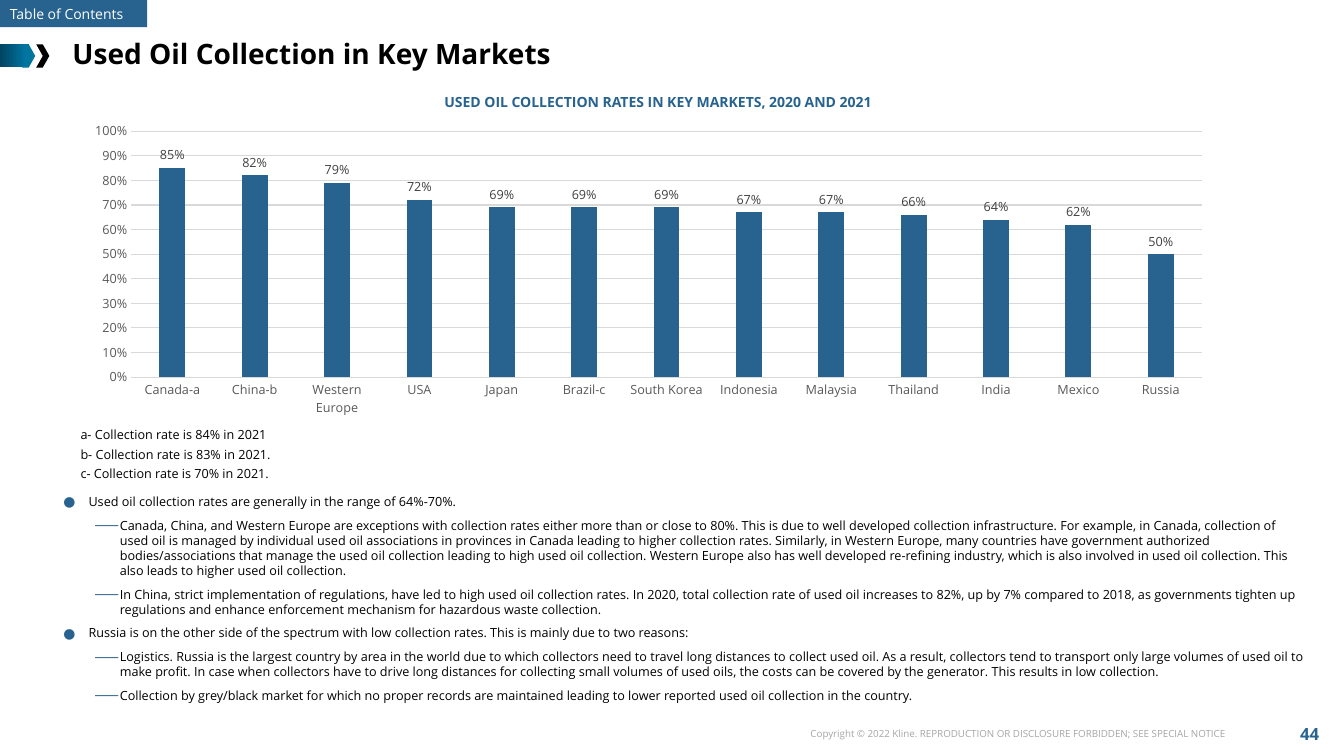
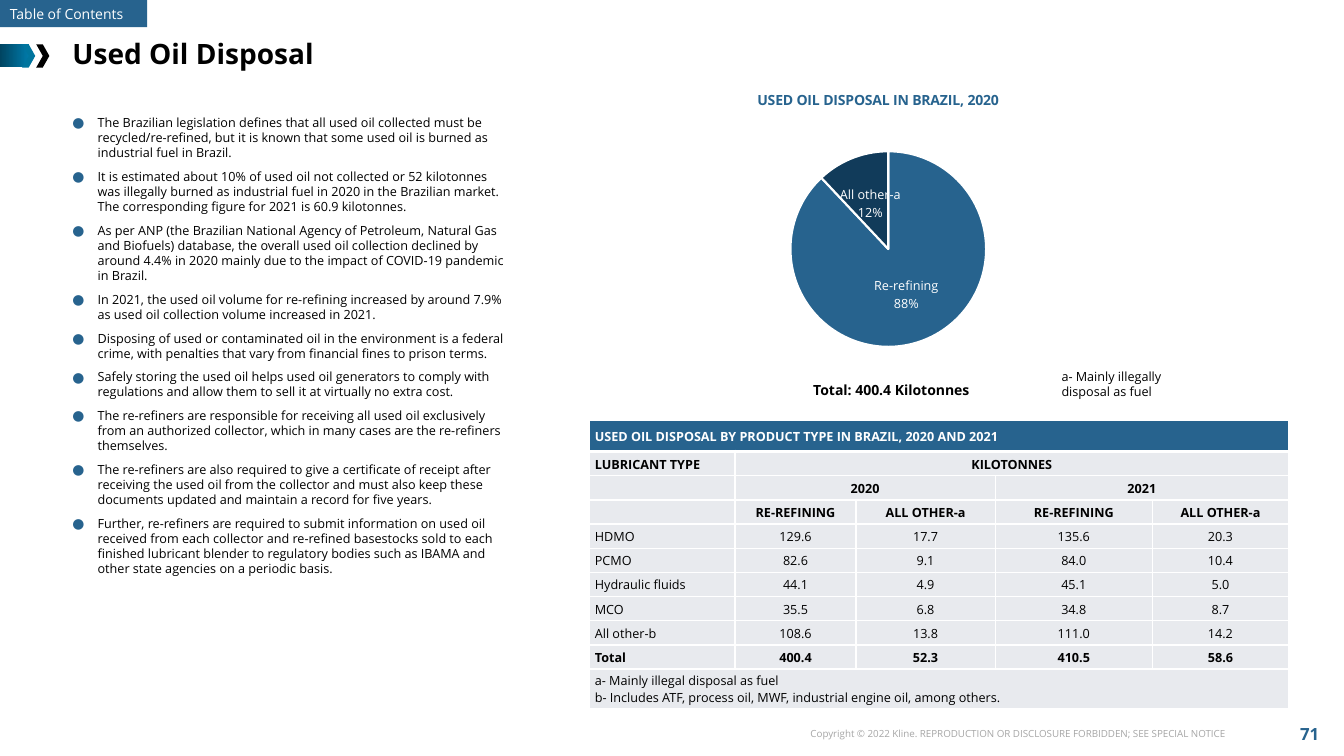
"""Build two slides on used oil collection and disposal."""
from lxml import etree
from pptx import Presentation
from pptx.chart.data import CategoryChartData
from pptx.dml.color import RGBColor
from pptx.enum.chart import XL_CHART_TYPE, XL_LABEL_POSITION, XL_TICK_MARK
from pptx.enum.shapes import MSO_SHAPE
from pptx.enum.text import MSO_ANCHOR, PP_ALIGN
from pptx.oxml.ns import qn
from pptx.util import Inches, Pt

BAR, PIE = XL_CHART_TYPE.COLUMN_CLUSTERED, XL_CHART_TYPE.PIE
OUT, MID = XL_LABEL_POSITION.OUTSIDE_END, XL_LABEL_POSITION.CENTER
BARE = XL_TICK_MARK.NONE
RECT, ARROW = MSO_SHAPE.RECTANGLE, MSO_SHAPE.CHEVRON
TOP, HALF = MSO_ANCHOR.TOP, MSO_ANCHOR.MIDDLE
LEFT, CENTER, RIGHT = PP_ALIGN.LEFT, PP_ALIGN.CENTER, PP_ALIGN.RIGHT


class Theme:
    """Colours, font and type sizes."""
    font = "Open Sans"
    blue, navy, black, white = "27638E", "113B5A", "000000", "FFFFFF"
    pale, rule, gray, dark, foot = "E8EAEE", "D9D9D9", "595959", "404040", "A6A6A6"
    deep, sea, teal = "004461", "007BAA", "00759E"
    title, page, head, body, small = 20, 12, 10, 9, 7


COPY = "Copyright © 2022 Kline. REPRODUCTION OR DISCLOSURE FORBIDDEN; SEE SPECIAL NOTICE"
RATES = {
    "Canada-a": 0.85, "China-b": 0.82, "Western Europe": 0.79, "USA": 0.72,
    "Japan": 0.69, "Brazil-c": 0.69, "South Korea": 0.69, "Indonesia": 0.67,
    "Malaysia": 0.67, "Thailand": 0.66, "India": 0.64, "Mexico": 0.62, "Russia": 0.5,
}
NOTES = [
    "a- Collection rate is 84% in 2021",
    "b- Collection rate is 83% in 2021.",
    "c- Collection rate is 70% in 2021.",
]
TRENDS = [
    (0, "Used oil collection rates are generally in the range of 64%-70%."),
    (1, "Canada, China, and Western Europe are exceptions with collection rates either more than or close to 80%. "
        "This is due to well developed collection infrastructure. For example, in Canada, collection of used oil is "
        "managed by individual used oil associations in provinces in Canada leading to higher collection rates. "
        "Similarly, in Western Europe, many countries have government authorized bodies/associations that manage the "
        "used oil collection leading to high used oil collection. Western Europe also has well developed re-refining "
        "industry, which is also involved in used oil collection. This also leads to higher used oil collection."),
    (1, "In China, strict implementation of regulations, have led to high used oil collection rates. In 2020, total "
        "collection rate of used oil increases to 82%, up by 7% compared to 2018, as governments tighten up "
        "regulations and enhance enforcement mechanism for hazardous waste collection."),
    (0, "Russia is on the other side of the spectrum with low collection rates. This is mainly due to two reasons:"),
    (1, "Logistics. Russia is the largest country by area in the world due to which collectors need to travel long "
        "distances to collect used oil. As a result, collectors tend to transport only large volumes of used oil to "
        "make profit. In case when collectors have to drive long distances for collecting small volumes of used oils, "
        "the costs can be covered by the generator. This results in low collection."),
    (1, "Collection by grey/black market for which no proper records are maintained leading to lower reported used "
        "oil collection in the country."),
]
FACTS = [
    "The Brazilian legislation defines that all used oil collected must be recycled/re-refined, but it is known that "
    "some used oil is burned as industrial fuel in Brazil.",
    "It is estimated about 10% of used oil not collected or 52 kilotonnes was illegally burned as industrial fuel in "
    "2020 in the Brazilian market. The corresponding figure for 2021 is 60.9 kilotonnes.",
    "As per ANP (the Brazilian National Agency of Petroleum, Natural Gas and Biofuels) database, the overall used oil "
    "collection declined by around 4.4% in 2020 mainly due to the impact of COVID-19 pandemic in Brazil.",
    "In 2021, the used oil volume for re-refining increased by around 7.9% as used oil collection volume increased "
    "in 2021.",
    "Disposing of used or contaminated oil in the environment is a federal crime, with penalties that vary from "
    "financial fines to prison terms.",
    "Safely storing the used oil helps used oil generators to comply with regulations and allow them to sell it at "
    "virtually no extra cost.",
    "The re-refiners are responsible for receiving all used oil exclusively from an authorized collector, which in "
    "many cases are the re-refiners themselves.",
    "The re-refiners are also required to give a certificate of receipt after receiving the used oil from the "
    "collector and must also keep these documents updated and maintain a record for five years.",
    "Further, re-refiners are required to submit information on used oil received from each collector and re-refined "
    "basestocks sold to each finished lubricant blender to regulatory bodies such as IBAMA and other state agencies "
    "on a periodic basis.",
]
SHARES = {"Re-refining": 88, "All other-a": 12}
COLS = [1.44, 1.2, 1.38, 1.56, 1.35]
ROWS = [0.31] + [0.24] * 9 + [0.39]
CELLS = [
    ["USED OIL DISPOSAL BY PRODUCT TYPE IN BRAZIL, 2020 AND 2021", None, None, None, None],
    ["LUBRICANT TYPE", "KILOTONNES", None, None, None],
    ["", "2020", None, "2021", None],
    ["", "RE-REFINING", "ALL OTHER-a", "RE-REFINING", "ALL OTHER-a"],
    ["HDMO", "129.6", "17.7", "135.6", "20.3"],
    ["PCMO", "82.6", "9.1", "84.0", "10.4"],
    ["Hydraulic fluids", "44.1", "4.9", "45.1", "5.0"],
    ["MCO", "35.5", "6.8", "34.8", "8.7"],
    ["All other-b", "108.6", "13.8", "111.0", "14.2"],
    ["Total", "400.4", "52.3", "410.5", "58.6"],
    ["a- Mainly illegal disposal as fuel\nb- Includes ATF, process oil, MWF, industrial engine oil, among others.",
     None, None, None, None],
]
MARKS = {0: ("●", 0.25, "110000"), 1: ("⸺", 0.56, "100000")}


def rgb(tone):
    return RGBColor.from_string(tone)


def put(item, **vals):
    for key, val in vals.items():
        setattr(item, key, val)


def node(root, tag, **vals):
    return etree.SubElement(root, qn(tag), vals)


def ink(font, size=Theme.body, tone=Theme.black, bold=False):
    put(font, name=Theme.font, size=Pt(size), bold=bold)
    font.color.rgb = rgb(tone)


def paint(item, tone):
    item.fill.solid()
    item.fill.fore_color.rgb = rgb(tone)


def mark(para, level):
    char, edge, size = MARKS[level]
    para.level = level
    props = para._p.get_or_add_pPr()
    props.set("marL", str(Inches(edge)))
    props.set("indent", str(Inches(-0.25)))
    node(node(props, "a:buClr"), "a:srgbClr", val=Theme.blue)
    node(props, "a:buSzPct", val=size)
    node(props, "a:buFont", typeface=Theme.font)
    node(props, "a:buChar", char=char)


def write(frame, lines, align=LEFT, anchor=TOP, gap=0, **look):
    put(frame, word_wrap=True, vertical_anchor=anchor)
    for num, line in enumerate(lines):
        level, text = line if isinstance(line, tuple) else (None, line)
        para = frame.add_paragraph() if num else frame.paragraphs[0]
        if level is not None:
            mark(para, level)
        put(para, alignment=align, space_after=Pt(gap))
        if text:
            run = para.add_run()
            run.text = text
            ink(run.font, **look)
        else:
            node(para._p, "a:endParaRPr", sz=str(Theme.body * 100))


def label(slide, spot, *lines, **look):
    write(slide.shapes.add_textbox(*map(Inches, spot)).text_frame, lines, **look)


def block(slide, kind, spot, tone):
    shape = slide.shapes.add_shape(kind, *map(Inches, spot))
    shape.shadow.inherit = False
    shape.line.fill.background()
    paint(shape, tone)
    return shape


def start(deck, title, page):
    slide = deck.slides.add_slide(deck.slide_layouts[6])
    label(slide, (12.68, 7.07, 0.62, 0.43), page, align=CENTER, anchor=HALF,
          size=Theme.page, tone=Theme.blue, bold=True)
    label(slide, (7.71, 7.17, 4.54, 0.22), COPY, align=RIGHT, size=Theme.small, tone=Theme.foot)
    fill = block(slide, RECT, (0, 0.44, 0.29, 0.23), Theme.deep).fill
    fill.gradient()
    fill.gradient_angle = 0
    for stop, tone, place in zip(fill.gradient_stops, (Theme.deep, Theme.sea), (0, 1)):
        stop.color.rgb = rgb(tone)
        stop.position = place
    for left, tone in ((0.22, Theme.teal), (0.36, Theme.black)):
        block(slide, ARROW, (left, 0.44, 0.13, 0.23), tone)
    tab = block(slide, RECT, (0, 0, 1.46, 0.27), Theme.blue)
    write(tab.text_frame, ["Table of Contents"], anchor=HALF, size=Theme.head, tone=Theme.white)
    label(slide, (0.62, 0.31, 12, 0.44), title, anchor=HALF, size=Theme.title, bold=True)
    return slide


def place(root, index, **spots):
    for old in root.findall(qn("c:layout")):
        root.remove(old)
    lay = etree.Element(qn("c:layout"))
    man = node(lay, "c:manualLayout")
    if "w" in spots:
        node(man, "c:layoutTarget", val="inner")
    for key in ("x", "y"):
        node(man, f"c:{key}Mode", val="edge")
    for key, val in spots.items():
        node(man, f"c:{key}", val=str(val))
    root.insert(index, lay)


def graph(slide, kind, spot, data, area):
    feed = CategoryChartData()
    feed.categories = list(data)
    feed.add_series("Series 1", list(data.values()))
    chart = slide.shapes.add_chart(kind, *map(Inches, spot), feed).chart
    put(chart, has_legend=False, has_title=False)
    ink(chart.font, Theme.head)
    place(chart._chartSpace.chart.plotArea, 0, **area)
    plot = chart.plots[0]
    plot.has_data_labels = True
    put(plot.data_labels, number_format="0%", number_format_is_linked=False)
    return chart, plot


def bars(slide):
    chart, plot = graph(slide, BAR, (0.73, 1.15, 11.42, 3.05), RATES, dict(x=0.05, y=0.05, w=0.93, h=0.8))
    put(plot, gap_width=219, overlap=-27, vary_by_categories=False)
    paint(plot.series[0].format, Theme.blue)
    put(plot.data_labels, show_value=True, position=OUT)
    ink(plot.data_labels.font, tone=Theme.dark)
    cat, val = chart.category_axis, chart.value_axis
    for axis in (cat, val):
        put(axis, major_tick_mark=BARE, minor_tick_mark=BARE)
        ink(axis.tick_labels.font, tone=Theme.gray)
    put(val, minimum_scale=0, maximum_scale=1, major_unit=0.1, has_major_gridlines=True)
    put(val.tick_labels, number_format="0%", number_format_is_linked=False)
    val.format.line.fill.background()
    for part in (cat, val.major_gridlines):
        part.format.line.width = Pt(0.75)
        part.format.line.color.rgb = rgb(Theme.rule)


def pie(slide):
    chart, plot = graph(slide, PIE, (5.9, 0.59, 5.88, 3.36), SHARES, dict(x=0.33, y=0.27, w=0.33, h=0.58))
    chart.has_title = True
    write(chart.chart_title.text_frame, ["USED OIL DISPOSAL IN BRAZIL, 2020"], align=CENTER,
          size=Theme.head, tone=Theme.blue, bold=True)
    place(chart.chart_title._element, 1, x=0.27, y=0.08)
    for num, tone in enumerate((Theme.blue, Theme.navy)):
        form = plot.series[0].points[num].format
        paint(form, tone)
        form.line.width = Pt(1.5)
        form.line.color.rgb = rgb(Theme.white)
    tags = plot.data_labels
    put(tags, show_value=False, show_category_name=True, show_percentage=True, position=MID)
    ink(tags.font, tone=Theme.white)
    split = etree.Element(qn("c:separator"))
    split.text = "\n"
    tags._element.find(qn("c:showBubbleSize")).addnext(split)


def edge(cell, row):
    props = cell._tc.get_or_add_tcPr()
    thick = {"T": row == 1, "B": row == 0}
    for side in "LRTB":
        line = node(props, f"a:ln{side}", w=str(Pt(3 if thick.get(side) else 1)))
        node(node(line, "a:solidFill"), "a:srgbClr", val=Theme.white)


def grid(slide):
    spot = map(Inches, (5.85, 4.17, sum(COLS), sum(ROWS)))
    table = slide.shapes.add_table(len(ROWS), len(COLS), *spot).table
    put(table, first_row=False, horz_banding=False)
    for col, width in zip(table.columns, COLS):
        col.width = Inches(width)
    for num, (row, high) in enumerate(zip(CELLS, ROWS)):
        table.rows[num].height = Inches(high)
        for pos, text in enumerate(row):
            cell = table.cell(num, pos)
            thin = Inches(0.01)
            put(cell, margin_left=thin if pos else Inches(0.05), margin_right=thin,
                margin_top=thin, margin_bottom=0, vertical_anchor=HALF)
            edge(cell, num)
            paint(cell, Theme.pale if num else Theme.blue)
            write(cell.text_frame, (text or "").split("\n"), align=CENTER if pos else LEFT,
                  anchor=HALF, tone=Theme.black if num else Theme.white,
                  bold=num < 4 or row[0] == "Total")
        for pos, text in enumerate(row):
            last = pos
            while last + 1 < len(row) and row[last + 1] is None:
                last += 1
            if text is not None and last > pos:
                table.cell(num, pos).merge(table.cell(num, last))


def main():
    deck = Presentation()
    put(deck, slide_width=Inches(13.33), slide_height=Inches(7.5))

    slide = start(deck, "Used Oil Collection in Key Markets", "44")
    bars(slide)
    label(slide, (2.79, 0.88, 7.47, 0.27), "USED OIL COLLECTION RATES IN KEY MARKETS, 2020 AND 2021",
          align=CENTER, size=Theme.head, tone=Theme.blue, bold=True)
    label(slide, (0.53, 4.85, 12.51, 2.19), *TRENDS, gap=6)
    label(slide, (0.7, 4.19, 11.99, 0.64), *NOTES, gap=3)

    slide = start(deck, "Used Oil Disposal", "71")
    pie(slide)
    label(slide, (7.85, 3.74, 1.98, 0.27), "Total: 400.4 Kilotonnes", align=CENTER, size=Theme.head, bold=True)
    label(slide, (0.62, 1.09, 4.49, 5.32), *[(0, fact) for fact in FACTS], gap=6)
    grid(slide)
    label(slide, (10.43, 3.61, 1.68, 0.4), "a- Mainly illegally", "disposal as fuel")
    deck.save("out.pptx")


if __name__ == "__main__":
    main()
